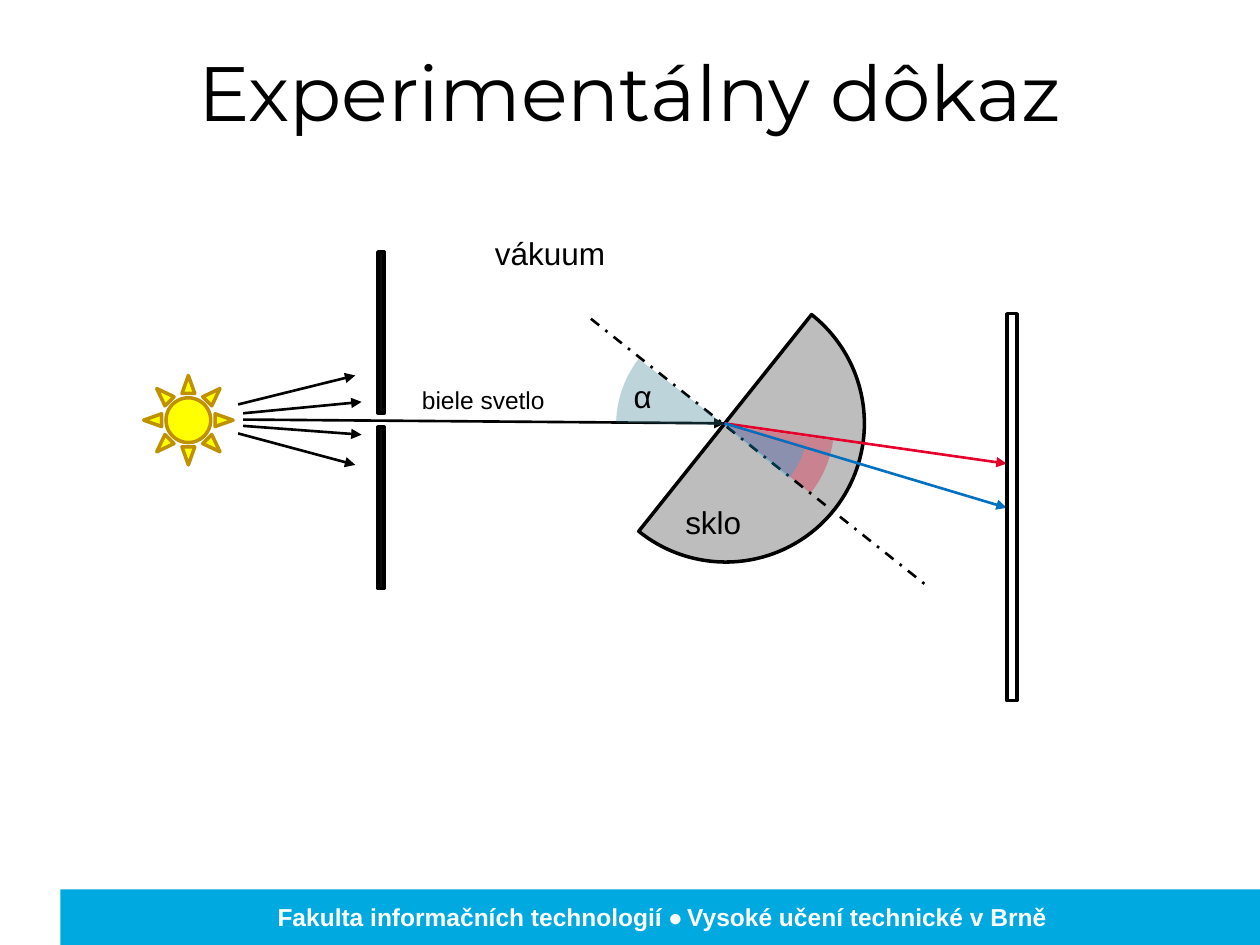
from dataclasses import dataclass
from lxml import etree
from pptx import Presentation
from pptx.dml.color import RGBColor
from pptx.enum import dml, shapes, text
from pptx.oxml.ns import qn
from pptx.util import Inches, Pt


@dataclass
class Theme:
    black: str = "000000"
    white: str = "FFFFFF"
    dark: str = "0D0D0D"
    bar: str = "00A9E0"
    glass: str = "BDBDBD"
    red: str = "E4002B"
    blue: str = "0070C0"
    sky: str = "00B0F0"
    teal: str = "2C778B"
    sun: str = "FFFF00"
    gold: str = "BF9000"
    sans: str = "Arial"
    head: str = "Montserrat"
    dot: str = "Calibri"
    title: int = 44
    label: int = 18
    small: int = 14
    edge: float = 2
    ray: float = 1.5


theme = Theme()
kinds = shapes.MSO_SHAPE
deck = Presentation()
deck.slide_width, deck.slide_height = Inches(10), Inches(7.5)
slide = deck.slides.add_slide(deck.slide_layouts[5])


def draw(kind, box, fill, edge=None, turn=0, arc=(), alpha=None):
    item = slide.shapes.add_shape(kind, *map(Inches, box))
    item.shadow.inherit = False
    item.rotation = turn
    for i, angle in enumerate(arc):
        item.adjustments[i] = angle * 0.6
    item.fill.solid()
    item.fill.fore_color.rgb = RGBColor.from_string(fill)
    if alpha:
        tint = item.fill._xPr.find(qn("a:solidFill"))[0]
        etree.SubElement(tint, qn("a:alpha"), val=str(alpha * 1000))
    if edge:
        item.line.color.rgb = RGBColor.from_string(edge)
        item.line.width = Pt(theme.edge)
    else:
        item.line.fill.background()


def write(frame, runs, size, color, align, bold=False):
    para = frame.paragraphs[0]
    para.alignment = align
    for words, face in runs:
        run = para.add_run()
        run.text = words
        run.font.name = face
        run.font.size = Pt(size)
        run.font.bold = bold
        run.font.color.rgb = RGBColor.from_string(color)


left, center = text.PP_ALIGN.LEFT, text.PP_ALIGN.CENTER

draw(kinds.RECTANGLE, (0.48, 7.06, 9.52, 0.44), theme.bar)

title = slide.shapes.title
title.left, title.top = Inches(0.5), Inches(0.3)
title.width, title.height = Inches(9), Inches(1.25)
title.text_frame.auto_size = text.MSO_AUTO_SIZE.NONE
title.text_frame.vertical_anchor = text.MSO_ANCHOR.TOP
write(title.text_frame, [("Experimentálny dôkaz", theme.head)],
      theme.title, theme.black, center)

wide = (4.89, 2.51, 1.73, 1.73)
draw(kinds.CHORD, (4.66, 2.26, 2.2, 2.2), theme.glass, theme.black,
     219.9, (88.33, 269.01))
draw(kinds.PIE, wide, theme.red, None, 159.6, (208.41, 238.87), 31)
for i in range(2):
    draw(kinds.RECTANGLE, (3, 2 + i * 1.39, 0.05, 1.28), theme.dark, theme.black)
draw(kinds.SUN, (1.14, 2.98, 0.71, 0.71), theme.sun, theme.gold)

hit = (5.75, 3.36)
rays = [
    ((1.93, 3.33), hit, theme.black, True),
    (hit, (7.99, 3.68), theme.red, True),
    (hit, (7.99, 4.03), theme.blue, True),
    ((1.93, 3.28), (2.87, 3.19), theme.black, True),
    ((1.89, 3.21), (2.82, 2.98), theme.black, True),
    ((1.93, 3.38), (2.87, 3.45), theme.black, True),
    ((1.89, 3.44), (2.82, 3.69), theme.black, True),
    ((4.69, 2.53), (7.37, 4.66), theme.black, False),
]
for start, end, color, arrow in rays:
    ray = slide.shapes.add_connector(
        shapes.MSO_CONNECTOR.STRAIGHT, *map(Inches, start + end))
    ray.line.color.rgb = RGBColor.from_string(color)
    ray.line.width = Pt(theme.ray)
    if arrow:
        etree.SubElement(ray.line._get_or_add_ln(), qn("a:tailEnd"), type="triangle")
    else:
        ray.line.dash_style = dml.MSO_LINE.DASH_DOT
    etree.SubElement(ray._element.spPr, qn("a:effectLst"))

draw(kinds.RECTANGLE, (7.99, 2.49, 0.08, 3.07), theme.white, theme.black)
draw(kinds.PIE, (5.08, 2.71, 1.33, 1.33), theme.sky, None, 159.6, (217.12, 239.35), 31)
draw(kinds.PIE, wide, theme.teal, None, 341.2, (200.26, 236.31), 31)

school = [
    ("Fakulta informačních technologií ", theme.sans),
    ("• ", theme.dot),
    ("Vysoké učení technické v Brně", theme.sans),
]
labels = [
    ((0.51, 7.11, 9.49, 0.34), school, theme.small, theme.white, center, True, True),
    ((3.83, 1.81, 1.1, 0.4), [("vákuum", theme.sans)],
     theme.label, theme.black, left, False, True),
    ((5.34, 3.94, 0.69, 0.4), [("sklo", theme.sans)],
     theme.label, theme.black, left, False, True),
    ((4.93, 2.94, 0.35, 0.4), [("α", theme.sans)],
     theme.label, theme.black, left, False, False),
    ((3.25, 3.01, 1.18, 0.34), [("biele svetlo", theme.sans)],
     theme.small, theme.black, left, False, False),
]
for box, runs, size, color, align, bold, wrap in labels:
    frame = slide.shapes.add_textbox(*map(Inches, box)).text_frame
    frame.word_wrap = wrap
    frame.auto_size = text.MSO_AUTO_SIZE.SHAPE_TO_FIT_TEXT
    write(frame, runs, size, color, align, bold)

deck.save("out.pptx")
